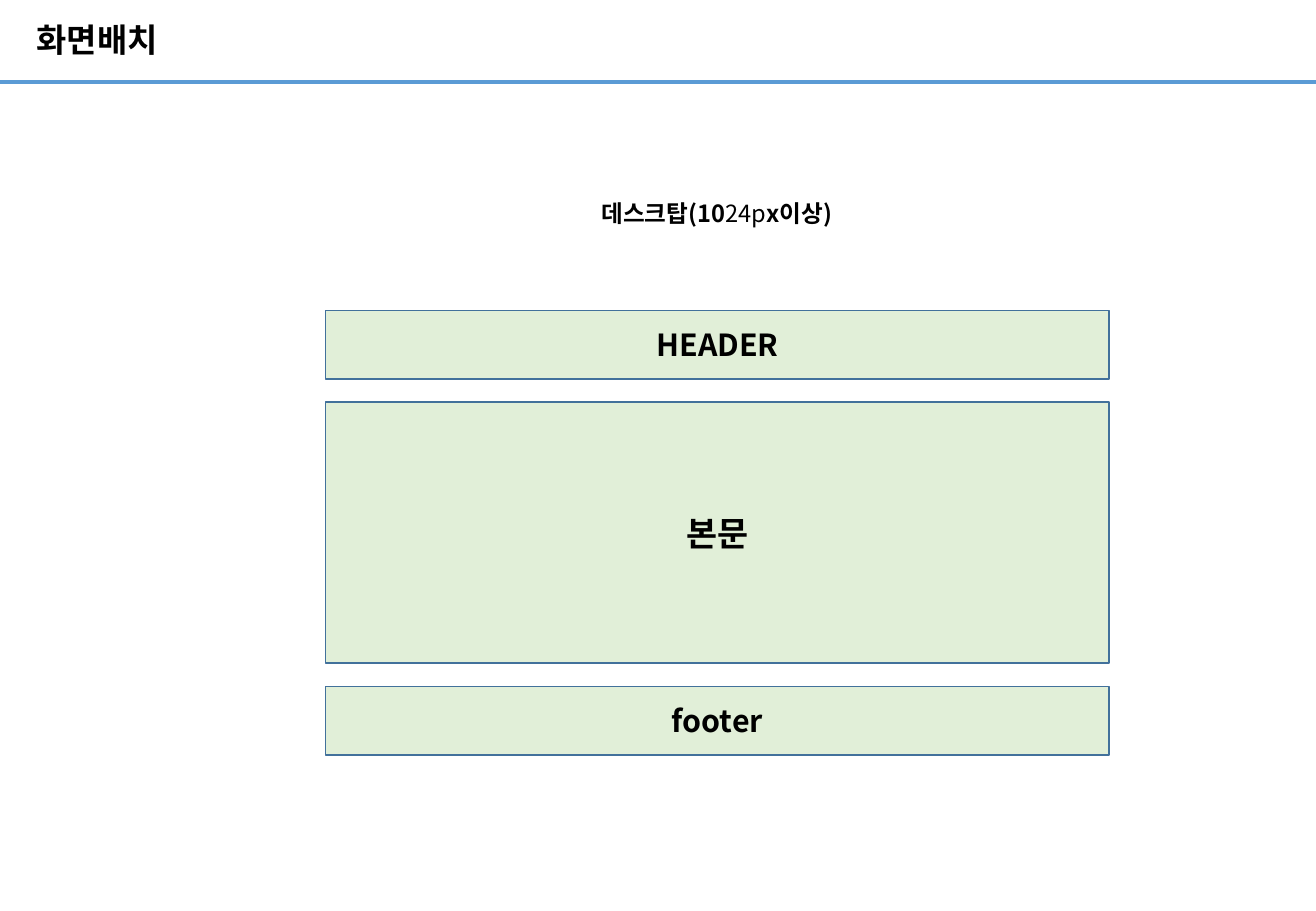
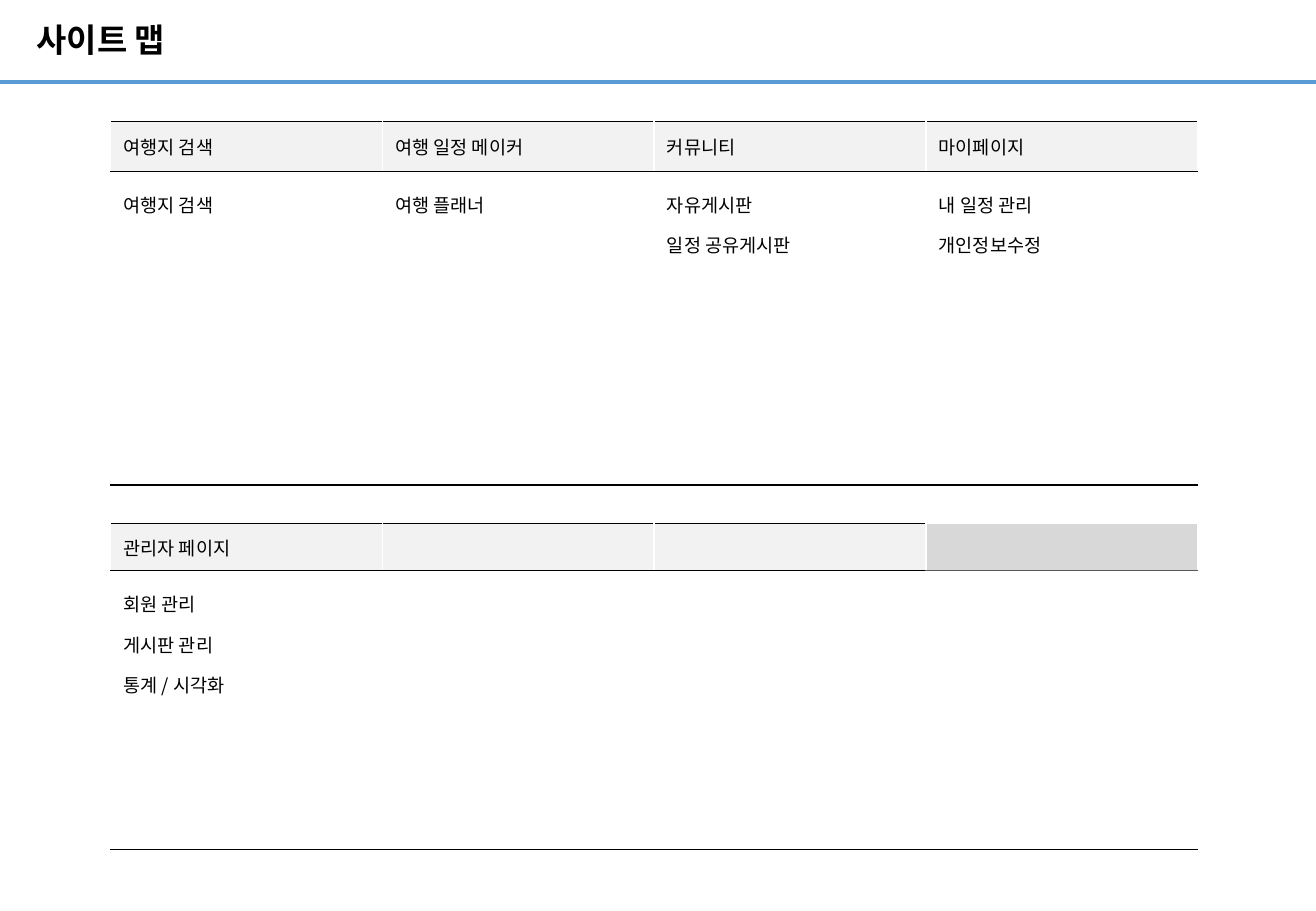
from lxml.etree import SubElement
from pptx import Presentation
from pptx.dml.color import RGBColor
from pptx.enum.shapes import MSO_CONNECTOR, MSO_SHAPE
from pptx.enum.text import MSO_ANCHOR, MSO_AUTO_SIZE, PP_ALIGN
from pptx.oxml import parse_xml
from pptx.oxml.ns import nsdecls, qn
from pptx.util import Pt

BLACK = RGBColor(0x00, 0x00, 0x00)
WHITE = RGBColor(0xFF, 0xFF, 0xFF)
RULE_BLUE = RGBColor(0x5B, 0x9B, 0xD5)
BLOCK_GREEN = RGBColor(0xE1, 0xEF, 0xD8)
BLOCK_LINE = RGBColor(0x42, 0x71, 0x9B)
HEAD_GRAY = RGBColor(0xF2, 0xF2, 0xF2)
UNUSED_GRAY = RGBColor(0xD8, 0xD8, 0xD8)
DARK_GRAY = RGBColor(0x59, 0x59, 0x59)
TITLE_FONT = "Arial"
BODY_FONT = "Noto Sans CJK KR"

PAGE_WIDTH, PAGE_HEIGHT = 780, 540
RULE_TOP = 48.4

LAYOUT_TITLE = "화면배치"
CAPTION = [("데스크탑(10", True), ("24p", False), ("x이상)", True)]
BLOCKS = [("HEADER", 40.5, 18), ("본문", 154.5, 20), ("footer", 40.5, 18)]
BLOCK_LEFT, BLOCK_TOP, BLOCK_WIDTH, BLOCK_GAP = 193, 184, 464.5, 14

SITEMAP_TITLE = "사이트 맵"
TABLE_LEFT, COLUMN_WIDTH, CELL_SIZE = 65.5, 161.1, 11
SITEMAPS = [
    {
        "top": 72,
        "heights": (29.5, 186),
        "columns": [
            ("여행지 검색", ["여행지 검색"]),
            ("여행 일정 메이커", ["여행 플래너"]),
            ("커뮤니티", ["자유게시판", "일정 공유게시판"]),
            ("마이페이지", ["내 일정 관리", "개인정보수정"]),
        ],
        "unused": None,
    },
    {
        "top": 310.3,
        "heights": (28, 165.5),
        "columns": [
            ("관리자 페이지", ["회원 관리", "게시판 관리", "통계 / 시각화"]),
            ("", []),
            ("", []),
            ("", []),
        ],
        "unused": 3,
    },
]


def style_span(span, size, bold=False, font=BODY_FONT):
    span.font.name = font
    span.font.size = Pt(size)
    span.font.bold = bold
    span.font.color.rgb = BLACK
    SubElement(span.font._element, qn("a:ea")).set("typeface", BODY_FONT)


def prepare_layout(deck):
    layout = deck.slide_layouts[5]
    title = layout.placeholders[0]
    title.left, title.top, title.width, title.height = Pt(21.6), Pt(0), Pt(510.5), Pt(49)
    frame = title.text_frame
    frame.margin_left = frame.margin_top = frame.margin_right = frame.margin_bottom = 0
    frame.vertical_anchor = MSO_ANCHOR.MIDDLE
    frame.auto_size = MSO_AUTO_SIZE.NONE
    return layout


def add_master_rule(deck, page):
    rule = page.shapes.add_connector(
        MSO_CONNECTOR.STRAIGHT, Pt(0), Pt(RULE_TOP), Pt(PAGE_WIDTH), Pt(RULE_TOP))
    rule.line.color.rgb = RULE_BLUE
    rule.line.width = Pt(2.25)
    SubElement(rule._element.spPr, qn("a:effectLst"))
    deck.slide_master.shapes._spTree.append(rule._element)


def add_page(deck, layout, title):
    page = deck.slides.add_slide(layout)
    page.shapes.title.text_frame.text = title
    para = page.shapes.title.text_frame.paragraphs[0]
    para.alignment = PP_ALIGN.LEFT
    para.line_spacing = 0.9
    style_span(para.runs[0], 19.5, True, TITLE_FONT)
    return page


def add_caption(page):
    box = page.shapes.add_textbox(Pt(131.8), Pt(108.7), Pt(586), Pt(34.6))
    box.text_frame.word_wrap = True
    box.text_frame.vertical_anchor = MSO_ANCHOR.MIDDLE
    para = box.text_frame.paragraphs[0]
    para.alignment = PP_ALIGN.CENTER
    for text, bold in CAPTION:
        span = para.add_run()
        span.text = text
        style_span(span, 14, bold)


def add_blocks(page):
    top = BLOCK_TOP
    for text, height, size in BLOCKS:
        block = page.shapes.add_shape(
            MSO_SHAPE.RECTANGLE, Pt(BLOCK_LEFT), Pt(top), Pt(BLOCK_WIDTH), Pt(height))
        block.shadow.inherit = False
        block.fill.solid()
        block.fill.fore_color.rgb = BLOCK_GREEN
        block.line.color.rgb = BLOCK_LINE
        block.line.width = Pt(1)
        block.text_frame.text = text
        block.text_frame.vertical_anchor = MSO_ANCHOR.MIDDLE
        para = block.text_frame.paragraphs[0]
        para.alignment = PP_ALIGN.CENTER
        style_span(para.runs[0], size, True)
        top += height + BLOCK_GAP


def set_borders(cell, top, bottom):
    edges = [("lnL", (WHITE, 1)), ("lnR", (WHITE, 1)), ("lnT", top), ("lnB", bottom)]
    properties = cell._tc.get_or_add_tcPr()
    for index, (tag, (color, width)) in enumerate(edges):
        properties.insert(index, parse_xml(
            f'<a:{tag} {nsdecls("a")} w="{Pt(width)}"><a:solidFill>'
            f'<a:srgbClr val="{color}"/></a:solidFill></a:{tag}>'))


def fill_cell(cell, lines, fill, anchor, spacing):
    cell.margin_left = cell.margin_right = Pt(7.65)
    cell.margin_top = cell.margin_bottom = Pt(3.6)
    cell.vertical_anchor = anchor
    cell.fill.solid()
    cell.fill.fore_color.rgb = fill
    cell.text_frame.text = "\n".join(lines)
    for para in cell.text_frame.paragraphs:
        para.line_spacing = spacing
        for span in para.runs:
            style_span(span, CELL_SIZE)
        if not para.runs:
            para._p.get_or_add_endParaRPr().set("sz", str(CELL_SIZE * 100))


def add_sitemap(page, sitemap):
    columns, heights = sitemap["columns"], sitemap["heights"]
    table = page.shapes.add_table(
        2, len(columns), Pt(TABLE_LEFT), Pt(sitemap["top"]),
        Pt(COLUMN_WIDTH * len(columns)), Pt(sum(heights))).table
    table.first_row = table.horz_banding = False
    for row, height in zip(table.rows, heights):
        row.height = Pt(height)
    edge = (BLACK, 0.75)
    for index, (heading, items) in enumerate(columns):
        table.columns[index].width = Pt(COLUMN_WIDTH)
        unused = index == sitemap["unused"]
        middle = (DARK_GRAY, 1) if unused else edge
        head, body = table.cell(0, index), table.cell(1, index)
        fill_cell(head, [heading], UNUSED_GRAY if unused else HEAD_GRAY, MSO_ANCHOR.MIDDLE, 1.0)
        fill_cell(body, items, WHITE, MSO_ANCHOR.TOP, 1.5)
        set_borders(head, (WHITE, 1) if unused else edge, middle)
        set_borders(body, middle, edge)


def main():
    deck = Presentation()
    deck.slide_width, deck.slide_height = Pt(PAGE_WIDTH), Pt(PAGE_HEIGHT)
    layout = prepare_layout(deck)

    page = add_page(deck, layout, LAYOUT_TITLE)
    add_master_rule(deck, page)
    add_caption(page)
    add_blocks(page)

    page = add_page(deck, layout, SITEMAP_TITLE)
    for sitemap in SITEMAPS:
        add_sitemap(page, sitemap)

    deck.save("out.pptx")


if __name__ == "__main__":
    main()
